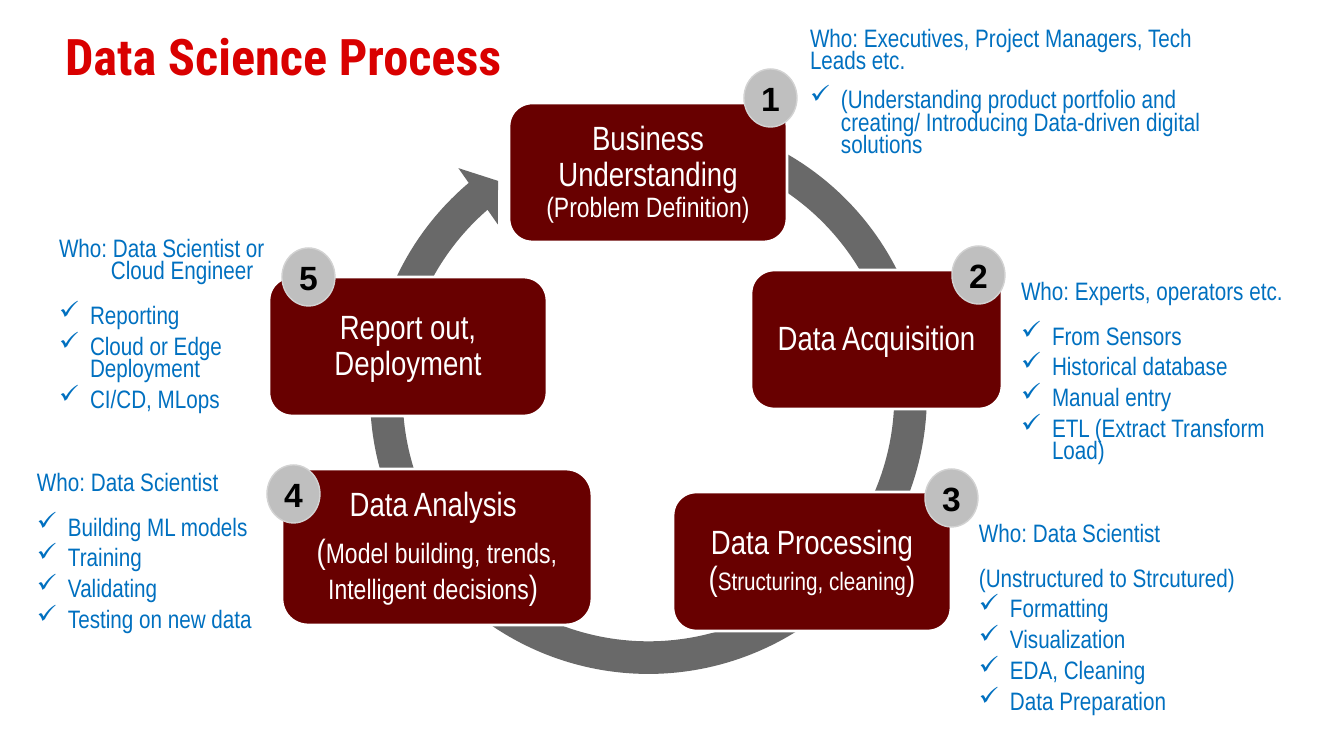
import pptx
import pptx.util
import pptx.dml.color
import pptx.enum.shapes
import pptx.enum.text
import lxml.etree
from pptx.oxml.ns import qn

RGB = pptx.dml.color.RGBColor
RED, MAROON, WHITE = RGB(0xD9, 0, 0), RGB(0x68, 0, 0), RGB(255, 255, 255)
GRAY, SILVER, RIM = RGB(0x69, 0x69, 0x69), RGB(0xBF, 0xBF, 0xBF), RGB(0xD2, 0xD2, 0xD2)
BLUE, BLACK = RGB(0, 0x70, 0xC0), RGB(0, 0, 0)
NARROW = "Arial Narrow"

# Content: note line kinds are (left indent px, space after pt, bullet)
LEAD = (0, 12, False)
WHO = (0, 16, False)
WHO_OPEN = (0, 0, False)
WHO_CONTINUED = (52, 16, False)
PLAIN = (0, 6, False)
TICK = (31, 6, True)

# Each step: box, badge position, label paragraphs of (text, size), note box, note lines
STEPS = [
    ((509, 103, 278, 139), (744, 69),
     [[("Business Understanding ", 24), ("(Problem Definition)", 20)]],
     (810, 30, 425, 172),
     [("Who: Executives, Project Managers, Tech Leads etc.", LEAD),
      ("(Understanding product portfolio and creating/ Introducing "
       "Data-driven digital solutions", TICK)]),
    ((751, 270, 251, 139), (952, 246),
     [[("Data Acquisition", 24)]],
     (1021, 283, 293, 174),
     [("Who: Experts, operators etc.", WHO), ("From Sensors", TICK),
      ("Historical database", TICK), ("Manual entry", TICK),
      ("ETL (Extract Transform Load)", TICK)]),
    ((673, 492, 278, 139), (925, 469),
     [[("Data Processing (", 24), ("Structuring, cleaning", 18), (")", 24)]],
     (979, 525, 306, 185),
     [("Who: Data Scientist", WHO), ("(Unstructured to Strcutured)", PLAIN),
      ("Formatting", TICK), ("Visualization", TICK),
      ("EDA, Cleaning", TICK), ("Data Preparation", TICK)]),
    ((282, 469, 310, 156), (267, 465),
     [[("Data Analysis ", 24)],
      [("(", 24), ("Model building, trends, Intelligent decisions", 20), (") ", 24)]],
     (37, 474, 306, 185),
     [("Who: Data Scientist", WHO), ("Building ML models", TICK),
      ("Training", TICK), ("Validating", TICK), ("Testing on new data", TICK)]),
    ((269, 277, 278, 139), (282, 248),
     [[("Report out, Deployment", 24)]],
     (59, 240, 268, 185),
     [("Who: Data Scientist or", WHO_OPEN), ("Cloud Engineer", WHO_CONTINUED),
      ("Reporting", TICK), ("Cloud or Edge Deployment", TICK),
      ("CI/CD, MLops", TICK)]),
]
BADGE_SIZE = (53, 58)


def px(length):
    return pptx.util.Emu(round(length * 914400 / 100.8))


def add_shape(kind, place, fill, line=None, width=0):
    shape = slide.shapes.add_shape(kind, *map(px, place))
    shape.shadow.inherit = False
    shape.fill.solid()
    shape.fill.fore_color.rgb = fill
    if line is None:
        shape.line.fill.background()
    else:
        shape.line.color.rgb = line
        shape.line.width = pptx.util.Pt(width)
    return shape


def set_frame(shape, inset):
    frame = shape.text_frame
    frame.word_wrap = True
    frame.margin_left = frame.margin_right = px(inset)
    frame.margin_top = frame.margin_bottom = px(inset)
    return frame


def add_paragraph(frame, index):
    return frame.add_paragraph() if index else frame.paragraphs[0]


def add_run(paragraph, text, size, font, color, bold=False):
    run = paragraph.add_run()
    run.text = text
    run.font.size = pptx.util.Pt(size)
    run.font.name = font
    run.font.bold = bold
    run.font.color.rgb = color


def add_textbox(place):
    return set_frame(slide.shapes.add_textbox(*map(px, place)), 0)


def center(frame, paragraph):
    frame.vertical_anchor = pptx.enum.text.MSO_ANCHOR.MIDDLE
    paragraph.alignment = pptx.enum.text.PP_ALIGN.CENTER


def add_note(place, lines):
    frame = add_textbox(place)
    for index, (text, (indent, after, ticked)) in enumerate(lines):
        paragraph = add_paragraph(frame, index)
        paragraph.line_spacing = pptx.util.Pt(16)
        paragraph.space_after = pptx.util.Pt(after)
        properties = paragraph._p.get_or_add_pPr()
        properties.set("marL", str(px(indent)))
        properties.set("indent", str(px(-indent if ticked else 0)))
        if ticked:
            lxml.etree.SubElement(properties, qn("a:buChar")).set("char", "✓")
        add_run(paragraph, text, 18, NARROW, BLUE)


prs = pptx.Presentation()
prs.slide_width, prs.slide_height = px(1344), px(756)
slide = prs.slides.add_slide(prs.slide_layouts[6])
SHAPE = pptx.enum.shapes.MSO_SHAPE

# Title
title = add_textbox((65, 25, 480, 79))
add_run(title.paragraphs[0], "Data Science Process", 36, "Roboto Condensed", RED, True)

# Cycle arrow behind the steps
cycle = add_shape(SHAPE.CIRCULAR_ARROW, (352, 99, 593, 593), GRAY)
for index, value in enumerate((0.055, 3.307, 137.676, 173.91, 0.058)):
    cycle.adjustments[index] = value

# Step boxes
for box, _, label, _, _ in STEPS:
    frame = set_frame(add_shape(SHAPE.ROUNDED_RECTANGLE, box, MAROON, WHITE, 2), 10)
    for index, runs in enumerate(label):
        paragraph = add_paragraph(frame, index)
        center(frame, paragraph)
        paragraph.line_spacing = 0.9
        paragraph.space_after = pptx.util.Pt(8)
        for text, size in runs:
            add_run(paragraph, text, size, NARROW, WHITE)

# Numbered badges and notes
for number, (_, corner, _, note_place, lines) in enumerate(STEPS, 1):
    badge = add_shape(SHAPE.OVAL, corner + BADGE_SIZE, SILVER, RIM, 1)
    frame = set_frame(badge, 0)
    center(frame, frame.paragraphs[0])
    add_run(frame.paragraphs[0], str(number), 24, "Arial", BLACK, True)
    add_note(note_place, lines)

prs.save("out.pptx")
